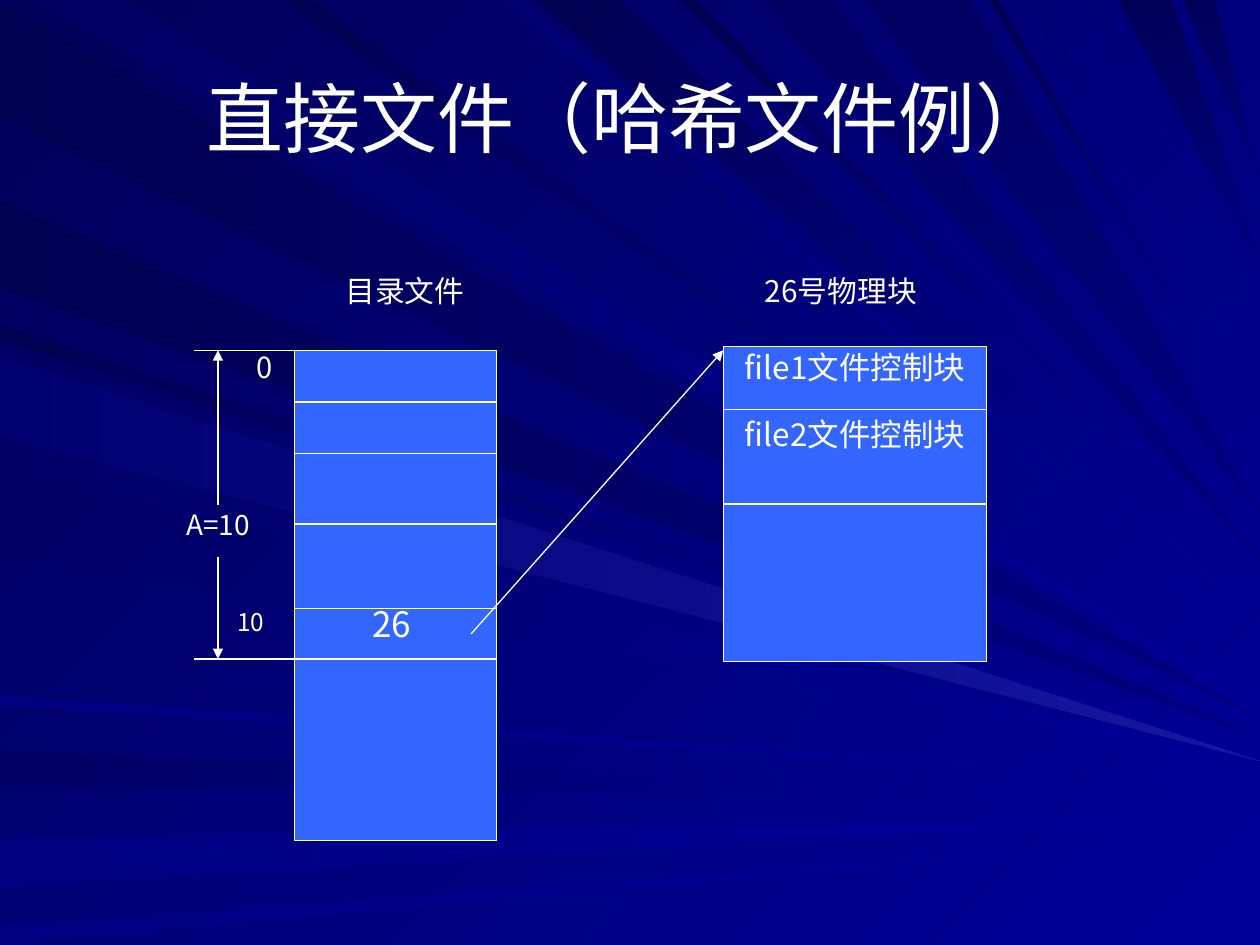
"""Builds a slide on direct files: a hashed directory pointing to a physical block."""
from lxml.etree import SubElement
from pptx import Presentation
from pptx.dml.color import RGBColor
from pptx.enum.shapes import MSO_CONNECTOR as Connector, MSO_SHAPE as Shape
from pptx.enum.text import MSO_ANCHOR as Anchor, PP_ALIGN as Align
from pptx.oxml.ns import qn
from pptx.util import Inches, Pt

WHITE = RGBColor.from_string("FFFFFF")
BOX = RGBColor.from_string("3366FF")
DARK = RGBColor.from_string("000050")
DEEP = RGBColor.from_string("000058")
MEDIUM = RGBColor.from_string("000062")
LIGHT = RGBColor.from_string("000070")
DIM = RGBColor.from_string("000080")
BRIGHT = RGBColor.from_string("000099")
GLOW = RGBColor.from_string("1717A2")
CJK_FONT = "Noto Sans CJK JP"
WIDTH, HEIGHT = 10, 7.5

# edge, start colour, end colour, gradient angle, (edge from, edge to, height of tip at right)
RAY_GROUPS = [
    ("left", DARK, DIM, 0, [(0.02, 0.93, 5.7), (1.59, 2.28, 5.85)]),
    ("top", MEDIUM, BRIGHT, 45, [(0.26, 1.01, 5.62)]),
    ("left", MEDIUM, BRIGHT, 0, [(5.96, 6.23, 6.32)]),
    ("left", DIM, BRIGHT, 0, [(6.65, 7.04, 6.47), (7.35, 7.5, 6.62), (5.52, 5.6, 6.22)]),
    ("left", DARK, BRIGHT, 45, [(2.58, 2.7, 5.89)]),
    ("top", LIGHT, BRIGHT, 45, [(3.98, 4.16, 5.18), (5.77, 5.88, 4.53), (8.15, 8.24, 3.36), (8.65, 8.72, 2.53)]),
    ("top", DARK, BRIGHT, 45, [(4.26, 4.92, 4.93), (5.4, 5.52, 4.63), (2.25, 2.47, 5.5), (7.85, 7.92, 3.57)]),
    ("top", MEDIUM, DIM, 90, [(6.06, 6.61, 4.46), (6.86, 7.7, 4.09)]),
    ("top", DEEP, DIM, 90, [(8.87, 9.3, 2.1), (9.39, 9.64, 1.4)]),
    ("left", MEDIUM, BRIGHT, 45, [(2.78, 3.42, 6), (3.74, 4.37, 6.06)]),
    ("left", LIGHT, GLOW, 0, [(2.83, 3.47, 6.04)]),
]

TITLE = "直接文件（哈希文件例）"
DIRECTORY = (2.34, 2.78, 1.6, 3.89)
DIRECTORY_ROWS = [3.19, 3.6, 4.16, 4.83, 5.23]
BLOCK = (5.74, 2.75, 2.09, 2.5)
BLOCK_ROWS = [3.25, 4]
BLOCK_ENTRIES = ["file1文件控制块", "file2文件控制块"]
LABELS = [
    ("目录文件", (2.5, 2.17, 1.43, 0.42), dict(size=17, spacing=0.8)),
    ("26号物理块", (5.83, 2.17, 1.69, 0.42), dict(size=17, spacing=0.8)),
    ("A=10", (1.33, 4.01, 0.8, 0.41), dict(size=16)),
    ("0", (1.94, 2.78, 0.31, 0.39), dict(size=16.6, spacing=0.8)),
    ("10", (1.73, 4.83, 0.52, 0.34), dict(size=13.9, spacing=0.72)),
    ("26", (2.85, 4.77, 0.52, 0.44), dict(size=20, wrap=False)),
]
EXTENT_LINES = [
    ((1.54, 2.78), (2.74, 2.78)),
    ((1.54, 5.23), (2.34, 5.23)),
]
ARROWS = [
    ((1.73, 4.01), (1.73, 2.78)),
    ((1.73, 4.42), (1.73, 5.23)),
    ((3.74, 5.03), (5.74, 2.78)),
]


def set_gradient(fill, start, end, angle):
    fill.gradient()
    fill.gradient_angle = (360 - angle) % 360
    for stop, color in zip(fill.gradient_stops, (start, end)):
        stop.color.rgb = color


def add_ray(slide, edge, wedge, start, end, angle):
    first, second, tip = wedge
    base = [(0, first), (0, second)] if edge == "left" else [(first, 0), (second, 0)]
    points = [(Inches(x), Inches(y)) for x, y in base + [(WIDTH, tip)]]
    builder = slide.shapes.build_freeform(*points[0], scale=1.0)
    builder.add_line_segments(points[1:], close=True)
    ray = builder.convert_to_shape()
    ray.shadow.inherit = False
    ray.line.fill.background()
    set_gradient(ray.fill, start, end, angle)


def write_text(shape, lines, size=18, font=CJK_FONT, spacing=0.9, gap=0, anchor=Anchor.TOP, wrap=True):
    frame = shape.text_frame
    frame.word_wrap = wrap
    frame.vertical_anchor = anchor
    for index, line in enumerate(lines):
        paragraph = frame.add_paragraph() if index else frame.paragraphs[0]
        paragraph.alignment = Align.CENTER
        paragraph.line_spacing = spacing
        paragraph.space_before = Pt(gap if index else 0)
        run = paragraph.add_run()
        run.text = line
        run.font.size = Pt(size)
        run.font.name = font
        run.font.color.rgb = WHITE
        SubElement(run._r.get_or_add_rPr(), qn("a:ea"), typeface=CJK_FONT)


def add_text(slide, text, place, **style):
    write_text(slide.shapes.add_textbox(*map(Inches, place)), [text], **style)


def add_box(slide, place):
    box = slide.shapes.add_shape(Shape.RECTANGLE, *map(Inches, place))
    box.shadow.inherit = False
    box.fill.solid()
    box.fill.fore_color.rgb = BOX
    box.line.color.rgb = WHITE
    box.line.width = Pt(0.75)
    return box


def add_line(slide, start, end, arrow=False):
    line = slide.shapes.add_connector(Connector.STRAIGHT, *map(Inches, start + end))
    line.line.color.rgb = WHITE
    line.line.width = Pt(0.75)
    if arrow:
        SubElement(line.line._get_or_add_ln(), qn("a:tailEnd"), type="triangle")
    SubElement(line._element.spPr, qn("a:effectLst"))


def add_rows(slide, place, rows):
    left, _, width, _ = place
    for y in rows:
        add_line(slide, (left, y), (left + width, y))


def main():
    presentation = Presentation()
    presentation.slide_width, presentation.slide_height = Inches(WIDTH), Inches(HEIGHT)
    slide = presentation.slides.add_slide(presentation.slide_layouts[6])
    set_gradient(slide.background.fill, DEEP, BRIGHT, 45)
    for edge, start, end, angle, wedges in RAY_GROUPS:
        for wedge in wedges:
            add_ray(slide, edge, wedge, start, end, angle)

    add_text(slide, TITLE, (0.5, 0.3, 9, 1.25), size=44, font="Arial", spacing=1.0, anchor=Anchor.MIDDLE)
    add_box(slide, DIRECTORY)
    add_rows(slide, DIRECTORY, DIRECTORY_ROWS)
    block = add_box(slide, BLOCK)
    write_text(block, BLOCK_ENTRIES, gap=18.7)
    add_rows(slide, BLOCK, BLOCK_ROWS)
    for start, end in EXTENT_LINES:
        add_line(slide, start, end)
    for start, end in ARROWS:
        add_line(slide, start, end, arrow=True)
    for text, place, style in LABELS:
        add_text(slide, text, place, **style)
    presentation.save("out.pptx")


if __name__ == "__main__":
    main()
